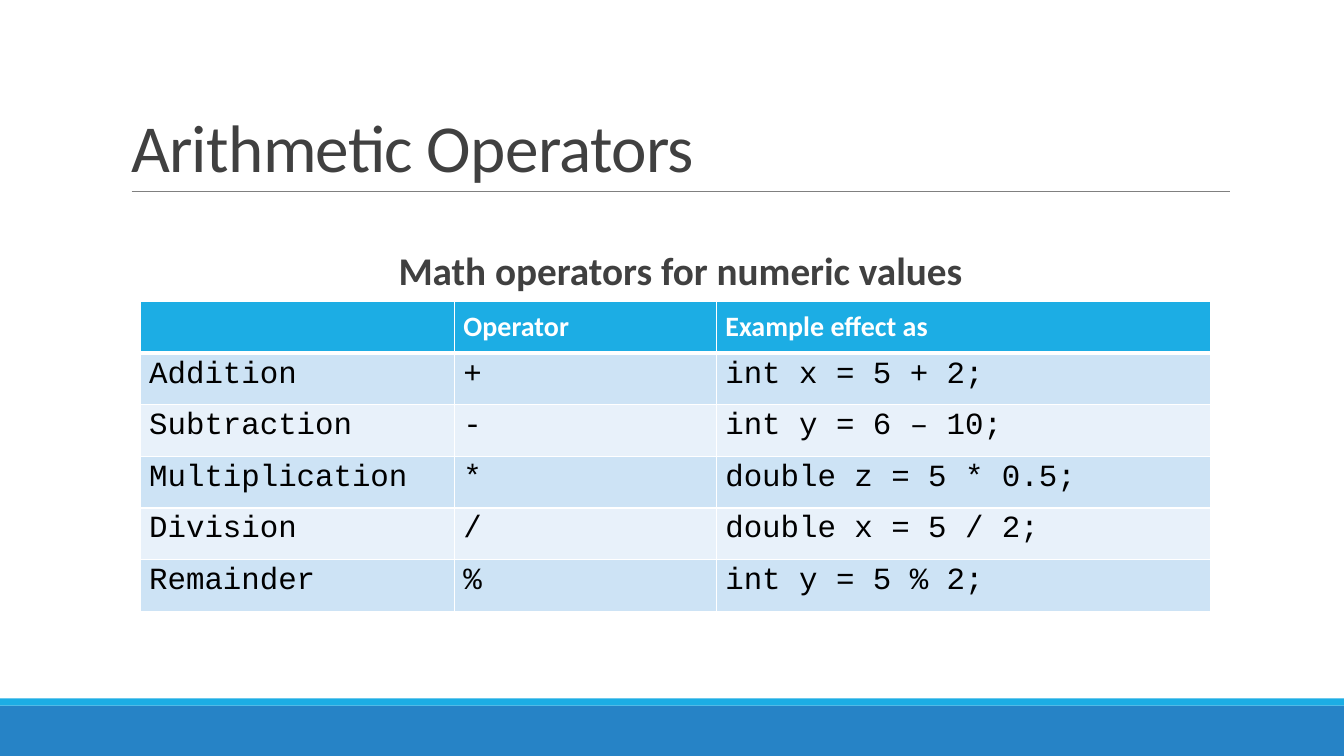
"""Build the slide on arithmetic operators."""
from lxml.etree import SubElement
from pptx import Presentation
from pptx.dml.color import RGBColor
from pptx.enum.shapes import MSO_CONNECTOR, MSO_SHAPE
from pptx.enum.text import MSO_ANCHOR, MSO_AUTO_SIZE, PP_ALIGN
from pptx.oxml.ns import qn
from pptx.util import Cm, Pt

SKY = RGBColor(0x1C, 0xAD, 0xE4)
BLUE = RGBColor(0x26, 0x83, 0xC6)
GRAY = RGBColor(0x80, 0x80, 0x80)
DARK = RGBColor(0x40, 0x40, 0x40)
WHITE = RGBColor(0xFF, 0xFF, 0xFF)
BLACK = RGBColor(0x00, 0x00, 0x00)
BANDS = (RGBColor(0xE8, 0xF1, 0xFA), RGBColor(0xCD, 0xE3, 0xF5))

SLIDE_WIDTH = Cm(33.87)
ROW_HEIGHT = Cm(1.3)
COLUMN_WIDTHS = (Cm(7.92), Cm(6.6), Cm(12.45))
ROWS = (
    ("", "Operator", "Example effect as"),
    ("Addition", "+", "int x = 5 + 2;"),
    ("Subtraction", "-", "int y = 6 – 10;"),
    ("Multiplication", "*", "double z = 5 * 0.5;"),
    ("Division", "/", "double x = 5 / 2;"),
    ("Remainder", "%", "int y = 5 % 2;"),
)


def format_runs(paragraph, size, color, name="Calibri", bold=False):
    for run in paragraph.runs:
        run.font.size = Pt(size)
        run.font.name = name
        run.font.bold = bold
        run.font.color.rgb = color


def place(shape, left, top, width, height):
    shape.left, shape.top = Cm(left), Cm(top)
    shape.width, shape.height = Cm(width), Cm(height)


def fill_title(shape, text):
    place(shape, 3.05, 0.79, 27.94, 4.04)
    frame = shape.text_frame
    frame.text = text
    frame.auto_size = MSO_AUTO_SIZE.NONE
    frame.vertical_anchor = MSO_ANCHOR.BOTTOM
    paragraph = frame.paragraphs[0]
    paragraph.alignment = PP_ALIGN.LEFT
    paragraph.line_spacing = 0.85
    format_runs(paragraph, 48, DARK)
    paragraph.runs[0].font._element.set("spc", "-50")


def fill_body(shape, text):
    place(shape, 3.05, 5.13, 27.94, 11.18)
    frame = shape.text_frame
    frame.text = text
    frame.auto_size = MSO_AUTO_SIZE.NONE
    frame.vertical_anchor = MSO_ANCHOR.TOP
    frame.margin_left = frame.margin_right = 0
    frame.margin_top = Cm(1.22)
    paragraph = frame.paragraphs[0]
    paragraph.alignment = PP_ALIGN.CENTER
    paragraph.line_spacing = 0.9
    paragraph.space_before = Pt(0)
    properties = paragraph._p.get_or_add_pPr()
    properties.set("marL", str(Cm(0.25)))
    properties.set("indent", "0")
    SubElement(properties, qn("a:buNone"))
    format_runs(paragraph, 28, DARK, bold=True)


def add_bar(slide, top, height, color):
    shape = slide.shapes.add_shape(MSO_SHAPE.RECTANGLE, 0, Cm(top), SLIDE_WIDTH, Cm(height))
    shape.shadow.inherit = False
    shape.fill.solid()
    shape.fill.fore_color.rgb = color
    shape.line.fill.background()


def add_rule(slide, left, right, top):
    line = slide.shapes.add_connector(
        MSO_CONNECTOR.STRAIGHT, Cm(left), Cm(top), Cm(right), Cm(top)
    )
    line.line.color.rgb = GRAY
    line.line.width = Pt(0.5)
    SubElement(line._element.spPr, qn("a:effectLst"))


def add_border(cell, side, width):
    properties = cell._tc.get_or_add_tcPr()
    border = SubElement(properties, qn(f"a:ln{side}"), w=str(Pt(width)))
    fill = SubElement(border, qn("a:solidFill"))
    SubElement(fill, qn("a:srgbClr"), val=str(WHITE))


def format_cell(cell, text, row):
    header = row == 0
    cell.text = text
    cell.margin_left = cell.margin_right = Cm(0.23)
    cell.margin_top = cell.margin_bottom = Cm(0.11)
    cell.vertical_anchor = MSO_ANCHOR.MIDDLE if header else MSO_ANCHOR.TOP
    for side in "LRTB":
        thick = (side == "B" and header) or (side == "T" and row == 1)
        add_border(cell, side, 3 if thick else 1)
    cell.fill.solid()
    cell.fill.fore_color.rgb = SKY if header else BANDS[row % 2]
    paragraph = cell.text_frame.paragraphs[0]
    if header:
        format_runs(paragraph, 20, WHITE, bold=True)
    else:
        format_runs(paragraph, 22, BLACK, "Courier New")


def add_operator_table(slide, left, top):
    table = slide.shapes.add_table(
        len(ROWS), len(COLUMN_WIDTHS), Cm(left), Cm(top),
        sum(COLUMN_WIDTHS), ROW_HEIGHT * len(ROWS),
    ).table
    for column, width in zip(table.columns, COLUMN_WIDTHS):
        column.width = width
    for row, texts in enumerate(ROWS):
        table.rows[row].height = ROW_HEIGHT
        for column, text in enumerate(texts):
            format_cell(table.cell(row, column), text, row)


def main():
    presentation = Presentation()
    presentation.slide_width = SLIDE_WIDTH
    presentation.slide_height = Cm(19.05)
    slide = presentation.slides.add_slide(presentation.slide_layouts[1])
    add_bar(slide, 17.78, 1.27, BLUE)
    add_bar(slide, 17.6, 0.18, SKY)
    add_rule(slide, 3.32, 31, 4.83)
    fill_title(slide.shapes.title, "Arithmetic Operators")
    fill_body(slide.placeholders[1], "Math operators for numeric values")
    add_operator_table(slide, 3.53, 7.6)
    presentation.save("out.pptx")


if __name__ == "__main__":
    main()
